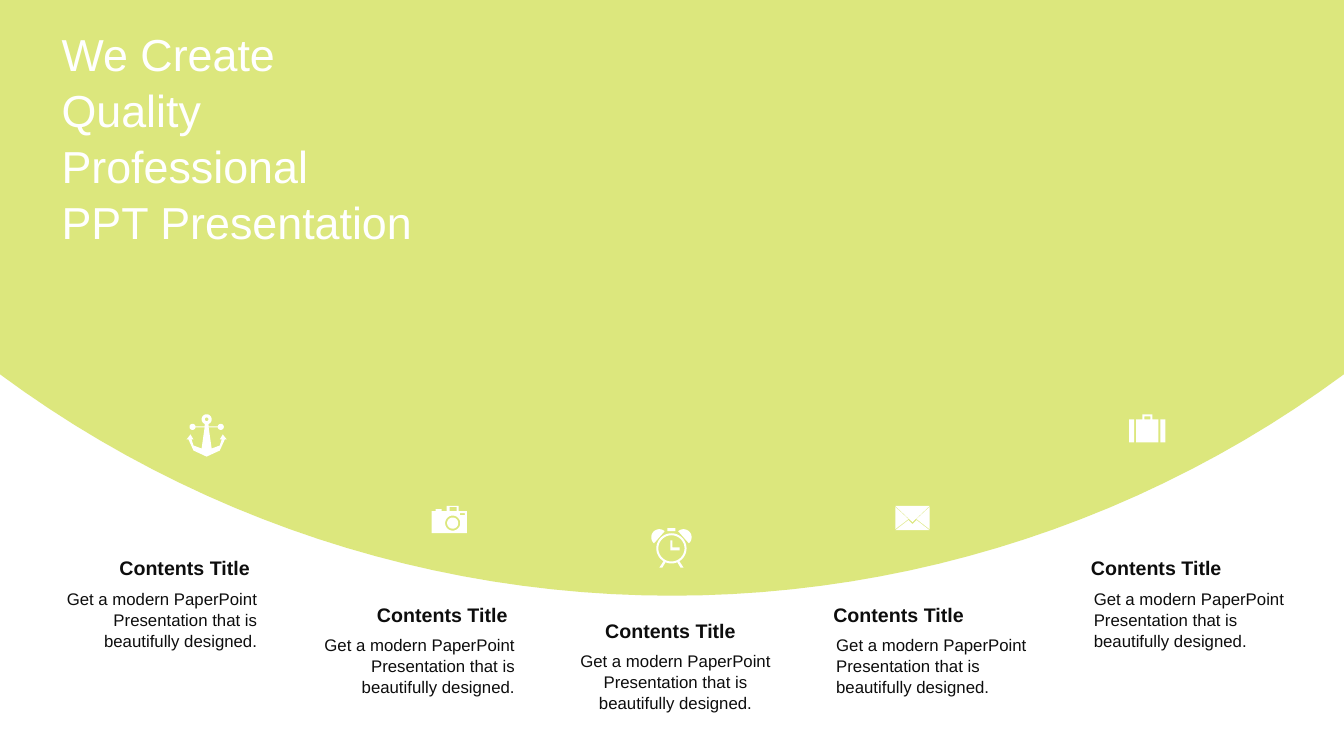
"""Build a slide with a green arc, five icons and five captions."""
from math import acos, cos, pi, sin

from lxml import etree
from pptx import Presentation
from pptx.dml.color import RGBColor
from pptx.enum import text
from pptx.oxml.ns import qn
from pptx.util import Inches, Pt

COLORS = {"arc": "CEDD46", "white": "FFFFFF", "ink": "0D0D0D"}
FONT = "Arial"
LEFT, CENTER, RIGHT = text.PP_ALIGN.LEFT, text.PP_ALIGN.CENTER, text.PP_ALIGN.RIGHT
WIDTH, HEIGHT = 13.33, 7.5

HEADLINE = ["We Create", "Quality Professional", "PPT Presentation"]
CAPTION = "Contents Title"
BODY = "Get a modern PaperPoint Presentation that is beautifully designed."
COLUMNS = [(5.78, RIGHT), (6.24, RIGHT), (6.4, CENTER), (6.24, LEFT), (5.78, LEFT)]
FIRST_LEFT, COLUMN_STEP = 0.53, 2.555
ARC_RADIUS, ARC_BOTTOM = 11.21, 5.91

# Icon sizes are hundredths of an inch, measured from the top of the middle axis.
ICONS = {
    "envelope": {
        "at": (9.05, 5.02),
        "halves": [[(0, 0), (17, 0), (0, 16)], [(0, 18), (4, 14), (17, 24), (0, 24)]],
        "pairs": [[(17, 1), (17, 23), (4, 13)]],
    },
    "camera": {
        "at": (4.49, 5.02),
        "discs": [(0, 17, 7.5), (0, 17, 5.5)],
        "boxes": [(-21, 5, 14, 27), (-17, 3, -11, 5), (-6, 0, 6, 5),
                  (-3, 1, 4, 5), (7, 7, 12, 9)],
    },
    "suitcase": {
        "at": (11.38, 4.11),
        "boxes": [(-11, 5, 11, 28), (-18, 5, -13, 28), (13, 5, 18, 28),
                  (-5, 0, 5, 5), (-3, 2, 3, 5)],
    },
    "anchor": {
        "at": (2.05, 4.11),
        "discs": [(0, 5, 5), (0, 5, 1.8), (-14, 12.5, 3), (14, 12.5, 3)],
        "boxes": [(-11, 12, 11, 13), (-2, 10, 2, 12)],
        "halves": [[(0, 13), (2, 13), (5, 34), (13, 31), (15, 25), (13, 25), (16, 20),
                    (20, 25), (18, 25), (13, 36), (0, 42)]],
    },
    "clock": {
        "at": (6.66, 5.24),
        "discs": [(0, 20, 15), (0, 20, 13)],
        "boxes": [(-1, 12, 1, 19), (-1, 19, 8, 22), (-4, 0, 4, 3)],
        "pairs": [[(8, 33), (12, 39), (9, 39), (6, 34)]],
        "bells": [(12, 9, 8)],
    },
}


def curve(cx, cy, radius, start=0, sweep=2 * pi, steps=48):
    angles = [start + sweep * i / steps for i in range(steps + 1)]
    return [(cx + radius * cos(a), cy + radius * sin(a)) for a in angles]


def mirror(pts):
    return [(-x, y) for x, y in reversed(pts)]


def icon_contours(icon):
    out = [curve(*disc) for disc in icon.get("discs", [])]
    out += [[(l, t), (r, t), (r, b), (l, b)] for l, t, r, b in icon.get("boxes", [])]
    out += [half + mirror(half) for half in icon.get("halves", [])]
    bells = [curve(*bell, start=-0.73 * pi, sweep=pi) for bell in icon.get("bells", [])]
    for side in icon.get("pairs", []) + bells:
        out += [side, mirror(side)]
    axis, top = icon["at"]
    return [[(axis + x / 100, top + y / 100) for x, y in pts] for pts in out]


def arc_contour():
    start = acos(WIDTH / 2 / ARC_RADIUS)
    edge = curve(WIDTH / 2, ARC_BOTTOM - ARC_RADIUS, ARC_RADIUS, start, pi - 2 * start)
    return [(0, 0), (WIDTH, 0)] + edge


def add_outline(slide, contours, color, alpha=None):
    scaled = [[(Inches(x), Inches(y)) for x, y in pts] for pts in contours]
    fb = slide.shapes.build_freeform(*scaled[0][0], scale=1.0)
    for i, pts in enumerate(scaled):
        if i:
            fb.move_to(*pts[0])
        fb.add_line_segments(pts[1:], close=True)
    sp = fb.convert_to_shape()
    sp.shadow.inherit = False
    sp.fill.solid()
    sp.fill.fore_color.rgb = RGBColor.from_string(COLORS[color])
    sp.line.fill.background()
    if alpha:
        clr = next(sp._element.spPr.iter(qn("a:srgbClr")))
        etree.SubElement(clr, qn("a:alpha"), val=str(alpha * 1000))


def add_text(slide, lines, box, size, color="ink", bold=False, align=LEFT,
             inset=(0.1, 0.05), anchor=text.MSO_ANCHOR.TOP):
    tf = slide.shapes.add_textbox(*map(Inches, box)).text_frame
    tf.word_wrap = True
    tf.auto_size = text.MSO_AUTO_SIZE.SHAPE_TO_FIT_TEXT
    tf.vertical_anchor = anchor
    tf.margin_left = tf.margin_right = Inches(inset[0])
    tf.margin_top = tf.margin_bottom = Inches(inset[1])
    for i, line in enumerate(lines):
        p = tf.add_paragraph() if i else tf.paragraphs[0]
        p.alignment = align
        p.line_spacing = 1.04
        r = p.add_run()
        r.text = line
        r.font.name, r.font.size, r.font.bold = FONT, Pt(size), bold
        r.font.color.rgb = RGBColor.from_string(COLORS[color])


def main():
    prs = Presentation()
    prs.slide_width, prs.slide_height = Inches(WIDTH), Inches(HEIGHT)
    slide = prs.slides.add_slide(prs.slide_layouts[6])
    add_outline(slide, [arc_contour()], "arc", alpha=70)
    for i, (top, align) in enumerate(COLUMNS):
        left = FIRST_LEFT + i * COLUMN_STEP
        add_text(slide, [BODY], (left, top, 2.12, 0.71), 12, align=align)
        add_text(slide, [CAPTION], (left - 0.05, top - 0.32, 2.12, 0.34), 14,
                 bold=True, align=align, inset=(0.12, 0.05))
    for icon in ICONS.values():
        add_outline(slide, icon_contours(icon), "white")
    add_text(slide, HEADLINE, (0.57, 0.28, 3.71, 2.15), 32, color="white",
             inset=(0.04, 0), anchor=text.MSO_ANCHOR.MIDDLE)
    prs.save("out.pptx")


if __name__ == "__main__":
    main()
